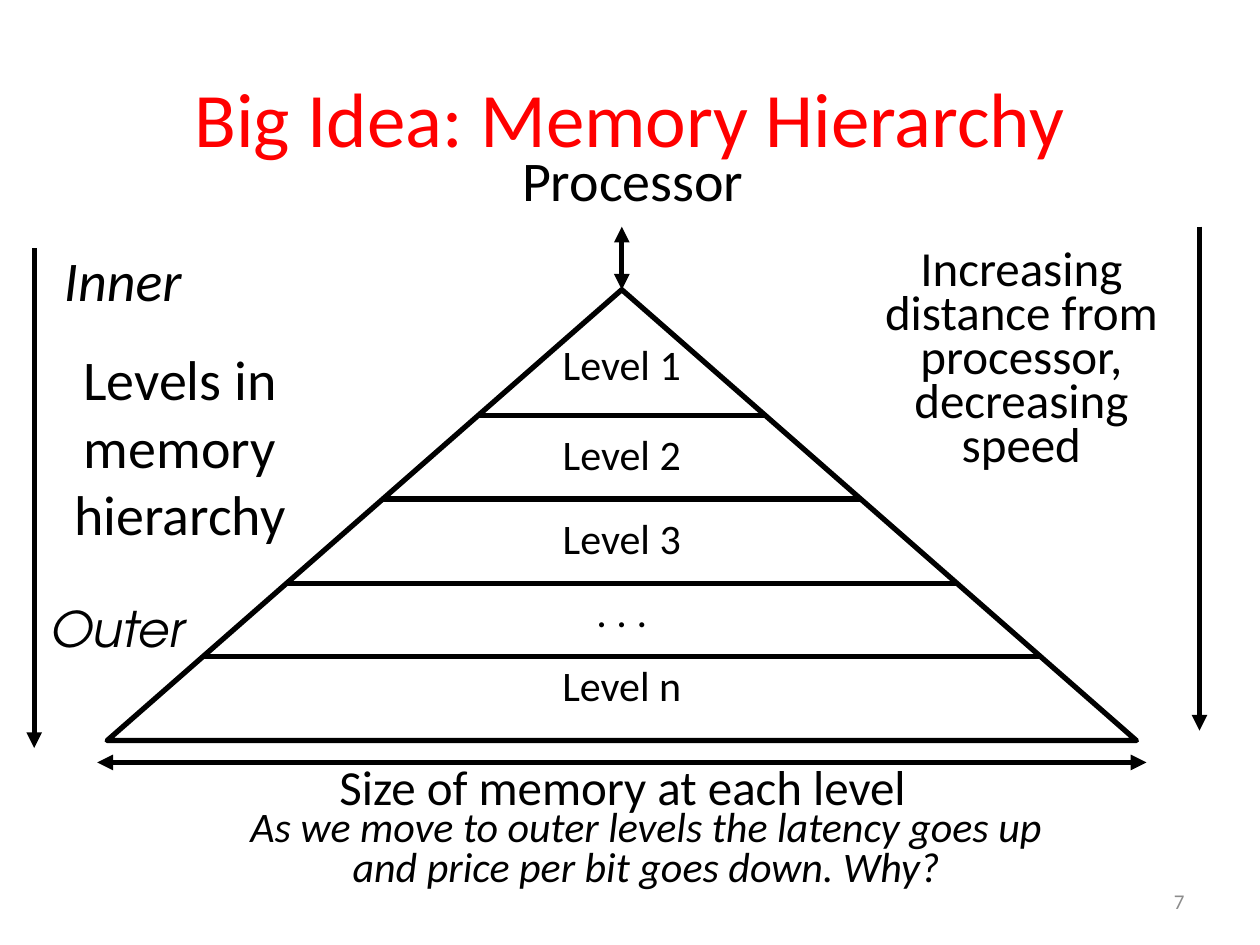
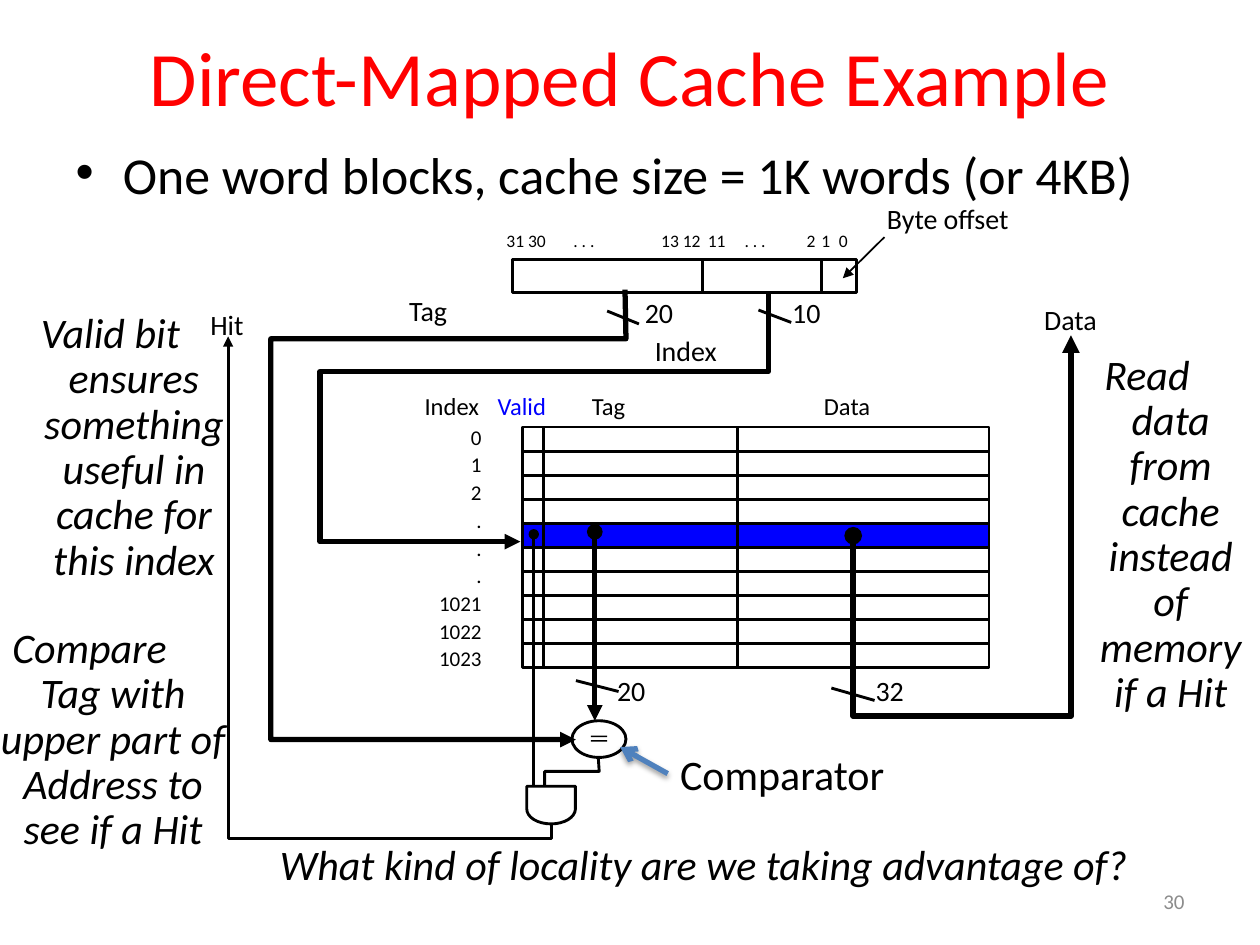
"""Build two lecture slides on memory hierarchy and direct-mapped caches."""
from dataclasses import dataclass
from math import cos, pi, sin

from lxml import etree
from pptx import Presentation, util as u
from pptx.dml.color import RGBColor
from pptx.enum import shapes, text as t
from pptx.oxml.ns import qn

CENTER, RIGHT = t.PP_ALIGN.CENTER, t.PP_ALIGN.RIGHT


@dataclass(frozen=True)
class Theme:
    """Colours, fonts, type sizes and line widths of the deck."""
    ink: str = "000000"
    title: str = "FF0000"
    highlight: str = "0000FF"
    pointer: str = "4F81BD"
    muted: str = "8C8C8C"
    font: str = "Calibri"
    geometric: str = "TeX Gyre Adventor"
    title_size: float = 44
    axis_size: float = 32
    list_size: float = 29.6
    caption_size: float = 28
    note_size: float = 24
    wire_size: float = 16
    header_size: float = 14
    small_size: float = 12
    bit_size: float = 10
    bold_line: float = 3
    thin_line: float = 1.63
    tight: float = 0.75


THEME = Theme()


@dataclass(frozen=True)
class Box:
    """A region in centimetres."""
    x: float
    y: float
    w: float
    h: float

    def inner(self, dx, dy, w, h):
        """Return a box offset from this one's corner."""
        return Box(self.x + dx, self.y + dy, w, h)

    def point(self, dx, dy):
        """Return a point offset from this box's corner."""
        return u.Cm(self.x + dx), u.Cm(self.y + dy)

    def frame(self):
        """Return left, top, width and height as lengths."""
        return [u.Cm(v) for v in (self.x, self.y, self.w, self.h)]


def write(shape, content, size, color=THEME.ink, font=THEME.font, italic=False, align=None,
          spacing=None, wrap=True, anchor=None, snug=False, hang=0, tabs=()):
    """Put formatted text in a shape."""
    frame = shape.text_frame
    frame.word_wrap = wrap
    frame.auto_size = t.MSO_AUTO_SIZE.NONE if wrap else t.MSO_AUTO_SIZE.SHAPE_TO_FIT_TEXT
    if anchor is not None:
        frame.vertical_anchor = anchor
    if snug:
        frame.margin_left = frame.margin_right = u.Cm(0.18)
        frame.margin_top = frame.margin_bottom = u.Cm(0.08)
    for index, line_text in enumerate(content.split("\n")):
        paragraph = frame.add_paragraph() if index else frame.paragraphs[0]
        paragraph.text = line_text
        paragraph.alignment = align
        paragraph.line_spacing = spacing
        properties = paragraph._p.get_or_add_pPr()
        if hang:
            properties.set("marL", str(u.Cm(hang)))
            properties.set("indent", str(-u.Cm(hang)))
        if tabs:
            stops = etree.SubElement(properties, qn("a:tabLst"))
            for stop in tabs:
                etree.SubElement(stops, qn("a:tab"), pos=str(u.Cm(stop)), algn="l")
        for run in paragraph.runs:
            run.font.size, run.font.name, run.font.italic = u.Pt(size), font, italic
            run.font.color.rgb = RGBColor.from_string(color)


def label(slide, box, content, size, **style):
    """Add a text box."""
    caption = slide.shapes.add_textbox(*box.frame())
    write(caption, content, size, **style)
    return caption


def tag(slide, box, content, size=THEME.wire_size, **style):
    """Add a short unwrapped label."""
    return label(slide, box, content, size, wrap=False, **style)


def stroke(shape, width, color=THEME.ink, head=None, tail=None):
    """Format an outline and its ends."""
    shape.line.width = u.Pt(width)
    shape.line.color.rgb = RGBColor.from_string(color)
    outline = shape.element.spPr.find(qn("a:ln"))
    for end, kind in (("a:headEnd", head), ("a:tailEnd", tail)):
        if kind:
            etree.SubElement(outline, qn(end), type=kind)


def line(slide, start, end, width=THEME.bold_line, shadow=False, **style):
    """Add a straight connector."""
    link = slide.shapes.add_connector(shapes.MSO_CONNECTOR.STRAIGHT, *start, *end)
    stroke(link, width, **style)
    effects = etree.SubElement(link.element.spPr, qn("a:effectLst"))
    if shadow:
        cast = etree.SubElement(effects, qn("a:outerShdw"), blurRad=str(u.Pt(3.1)),
                                dist=str(u.Pt(1.6)), dir="5400000", rotWithShape="0")
        tint = etree.SubElement(cast, qn("a:srgbClr"), val=THEME.ink)
        etree.SubElement(tint, qn("a:alpha"), val="38000")
    return link


def wire(slide, box, offsets, width=THEME.thin_line, close=False, **style):
    """Draw an unfilled outline through points of a box."""
    start, *rest = [box.point(*offset) for offset in offsets]
    builder = slide.shapes.build_freeform(*start, scale=1.0)
    builder.add_line_segments(rest, close=close)
    route = builder.convert_to_shape()
    route.shadow.inherit = False
    route.fill.background()
    stroke(route, width, **style)


def figure(slide, kind, box, fill=None, width=THEME.thin_line):
    """Add a preset shape, plain or filled."""
    shape = slide.shapes.add_shape(kind, *box.frame())
    shape.shadow.inherit = False
    if fill:
        shape.fill.solid()
        shape.fill.fore_color.rgb = RGBColor.from_string(fill)
    else:
        shape.fill.background()
    if width:
        stroke(shape, width)
    else:
        shape.line.fill.background()
    return shape


def fill_placeholder(placeholder, box, content, size, **style):
    """Move a placeholder and fill it."""
    placeholder.left, placeholder.top, placeholder.width, placeholder.height = box.frame()
    write(placeholder, content, size, **style)


def new_slide(deck, layout, title, box, number):
    """Add a slide with its title and page number."""
    slide = deck.slides.add_slide(deck.slide_layouts[layout])
    middle = t.MSO_ANCHOR.MIDDLE
    fill_placeholder(slide.shapes.title, box, title, THEME.title_size, color=THEME.title,
                     align=CENTER, anchor=middle)
    label(slide, Box(18.21, 17.65, 5.92, 1.02), number, THEME.small_size, color=THEME.muted,
          align=RIGHT, anchor=middle)
    return slide


def pyramid(slide, box):
    """Draw the memory levels and return the outer triangle."""
    outline = figure(slide, shapes.MSO_SHAPE.ISOSCELES_TRIANGLE, box, width=THEME.bold_line)
    middle = box.w / 2
    levels = (("Level 1", 1.14), ("Level 2", 2.95), ("Level 3", 4.65), (". . .", 6.12),
              ("Level n", 7.62))
    for name, top in levels:
        label(slide, box.inner(middle - 2.12, top, 4.24, 0.97), name, THEME.note_size,
              align=CENTER, spacing=THEME.tight, snug=True)
    for depth in (2.54, 4.22, 5.92, 7.39):
        reach = middle * depth / box.h
        line(slide, box.point(middle - reach, depth), box.point(middle + reach, depth))
    return outline


def processor_link(slide, box, levels):
    """Place the processor above the pyramid and link the two."""
    label(slide, box.inner(0, 0, box.w, 1.22), "Processor", THEME.axis_size, align=CENTER,
          spacing=THEME.tight, snug=True)
    apex = levels.left + levels.width // 2
    link = line(slide, (apex, levels.top), (apex, u.Cm(box.y + 1.39)), head="triangle",
                tail="triangle")
    link.begin_connect(levels, 0)


def size_axis(slide, box):
    """Draw the width axis under the pyramid."""
    label(slide, box.inner(1.7, 0.07, 17.78, 1.09), "Size of memory at each level",
          THEME.caption_size, align=CENTER, spacing=THEME.tight, snug=True)
    line(slide, box.point(0, 0), box.point(box.w, 0), head="triangle", tail="triangle")


def distance_axis(slide, box):
    """Draw the distance axis on the right."""
    label(slide, box.inner(0, 0.41, 6.78, 4.67),
          "Increasing distance from processor,\vdecreasing speed", THEME.caption_size,
          align=CENTER, spacing=THEME.tight, snug=True)
    line(slide, box.point(box.w, 0), box.point(box.w, box.h), tail="triangle")


def levels_axis(slide, box):
    """Draw the inner-to-outer axis on the left."""
    tag(slide, box.inner(0.35, -0.17, 3.18, 1.63), "Inner", THEME.axis_size, italic=True)
    tag(slide, box.inner(0.07, 6.94, 3.25, 1.45), "Outer", THEME.caption_size, italic=True,
        font=THEME.geometric)
    label(slide, box.inner(-0.03, 1.83, 5.94, 4.37), "Levels in memory hierarchy",
          THEME.axis_size, align=CENTER)
    line(slide, box.point(0, 0), box.point(0, box.h), tail="triangle")


def bus_width(slide, slash, number_box, bits):
    """Mark a wire with a slash and its number of bits."""
    line(slide, slash.point(0, 0), slash.point(slash.w, slash.h), THEME.thin_line)
    tag(slide, number_box, bits)


def address_word(slide, box):
    """Draw the address with its fields and bit numbers."""
    figure(slide, shapes.MSO_SHAPE.RECTANGLE, box)
    for edge in (3.82, 6.22):
        line(slide, box.point(edge, 0), box.point(edge, box.h), THEME.thin_line)
    label(slide, box.inner(-0.38, -0.71, 7.87, 0.69), "31 30\t. . .\t13 12\t11\t. . .\t2\t1\t0",
          THEME.bit_size, tabs=(1.35, 3.12, 4.06, 4.8, 6.05, 6.35, 6.7))
    label(slide, box.inner(7.29, -1.29, 3.18, 0.94), "Byte offset", THEME.wire_size)
    line(slide, box.point(7.49, -0.45), box.point(6.65, 0.38), 1, tail="triangle")


def tag_path(slide, box):
    """Route the address tag to the comparator."""
    wire(slide, box, ((7.14, 0), (7.16, 0.99), (0, 0.99), (0, box.h), (6.15, box.h)),
         THEME.bold_line, tail="triangle")
    bus_width(slide, box.inner(6.78, 0.43, 0.64, 0.26), box.inner(7.29, 0, 1.14, 0.94), "20")
    tag(slide, box.inner(2.54, -0.05, 1.47, 0.94), "Tag")


def index_path(slide, box):
    """Route the address index to the selected row."""
    wire(slide, box, ((box.w, 0), (box.w, 1.6), (0, 1.6), (0, box.h), (4.04, box.h)),
         THEME.bold_line, tail="triangle")
    bus_width(slide, box.inner(8.84, 0.36, 0.66, 0.25), box.inner(9.27, -0.05, 1.14, 0.94), "10")
    tag(slide, box.inner(6.5, 0.71, 1.88, 0.94), "Index")


def cache_grid(slide, box, rows=10, selected=4):
    """Draw the cache rows, columns and headings."""
    pitch = box.h / rows
    rectangle = shapes.MSO_SHAPE.RECTANGLE
    figure(slide, rectangle, box)
    figure(slide, rectangle, box.inner(0, selected * pitch, box.w, pitch), THEME.highlight)
    for row in range(1, rows):
        line(slide, box.point(0, row * pitch), box.point(box.w, row * pitch), THEME.thin_line)
    for column in (0.42, 4.32):
        line(slide, box.point(column, 0), box.point(column, box.h), THEME.thin_line)
    headings = (("Index", -2.23, 1.7, THEME.ink), ("Valid", -0.76, 1.5, THEME.highlight),
                ("Tag", 1.14, 1.35, THEME.ink), ("Data", 5.82, 1.55, THEME.ink))
    for name, left, width, color in headings:
        tag(slide, box.inner(left, -0.86, width, 0.84), name, THEME.header_size, color=color)
    tag(slide, box.inner(-2.03, -0.23, 1.45, 5.31), "0\n1\n2\n.\n.\n.\n1021\n1022\n1023",
        THEME.small_size, align=RIGHT, spacing=1.1)


def stored_tag_path(slide, box):
    """Route the stored tag down to the comparator."""
    line(slide, box.point(0, 0), box.point(0, box.h), head="oval", tail="triangle")
    bus_width(slide, box.inner(-0.38, 3, 0.86, 0.22), box.inner(0.2, 2.74, 1.14, 0.94), "20")


def data_path(slide, box):
    """Route the stored word to the data output."""
    wire(slide, box, ((0, 4.04), (0, box.h), (box.w, box.h), (box.w, 0)), 3.38, head="oval",
         tail="triangle")
    bus_width(slide, box.inner(-0.44, 7.11, 0.87, 0.25), box.inner(0.2, 6.7, 1.14, 0.94), "32")
    tag(slide, box.inner(3.6, -0.79, 1.7, 0.94), "Data")


def comparator(slide, box):
    """Draw the comparator and its callout."""
    figure(slide, shapes.MSO_SHAPE.OVAL, box)
    for bar in (0.3, 0.39):
        figure(slide, shapes.MSO_SHAPE.RECTANGLE, box.inner(0.38, bar, 0.33, 0.03), THEME.ink, 0)
    name_box = box.inner(1.93, 0.43, 4.67, 1.27)
    name = tag(slide, name_box, "Comparator", THEME.note_size)
    pointer = line(slide, name_box.point(0, name_box.h / 2), box.point(0.97, 0.53),
                   color=THEME.pointer, tail="arrow", shadow=True)
    pointer.begin_connect(name, 1)


def hit_logic(slide, box):
    """Draw the AND gate, its inputs and the hit output."""
    radius, shoulder = box.w / 2, 0.46
    bowl = [(radius + radius * cos(pi * step / 16),
             shoulder + (box.h - shoulder) * sin(pi * step / 16)) for step in range(17)]
    wire(slide, box, [(0, 0), (box.w, 0), *bowl], close=True)
    line(slide, box.point(0.14, -5.08), box.point(0.14, 0), THEME.thin_line, head="oval")
    wire(slide, box, ((1.44, -0.6), (1.46, -0.3), (0.36, -0.3), (0.36, 0)))
    wire(slide, box, ((radius, box.h), (radius, 1.06), (-6.02, 1.06), (-6.02, -9.07)),
         tail="triangle")
    tag(slide, box.inner(-6.63, -9.78, 1.2, 0.94), "Hit")


def hierarchy_slide(deck):
    """Build the memory hierarchy slide."""
    slide = new_slide(deck, 5, "Big Idea: Memory Hierarchy", Box(1.27, 0.76, 22.86, 3.18), "7")
    levels = pyramid(slide, Box(2.16, 5.84, 20.75, 9.09))
    processor_link(slide, Box(1.75, 3.18, 22.02, 2.66), levels)
    size_axis(slide, Box(1.96, 15.37, 21.15, 1.16))
    distance_axis(slide, Box(17.2, 4.57, 6.98, 10.16))
    levels_axis(slide, Box(0.69, 5, 5.94, 10.08))
    label(slide, Box(3.18, 16.21, 19.69, 1.93),
          "As we move to outer levels the latency goes up\vand price per bit goes down. Why?",
          THEME.note_size, italic=True, align=CENTER, spacing=0.8)


def cache_slide(deck):
    """Build the direct-mapped cache slide."""
    slide = new_slide(deck, 1, "Direct-Mapped Cache Example", Box(1.27, 0.43, 22.86, 2.21), "30")
    fill_placeholder(slide.placeholders[1], Box(1.27, 3.2, 22.43, 1.88),
                     "One word blocks, cache size = 1K words (or 4KB)", THEME.list_size,
                     spacing=0.6)
    cache_grid(slide, Box(10.54, 8.61, 9.4, 4.85))
    address_word(slide, Box(10.34, 5.23, 6.93, 0.66))
    tag_path(slide, Box(5.46, 5.84, 7.16, 9.07))
    index_path(slide, Box(6.45, 5.89, 9.04, 5.03))
    stored_tag_path(slide, Box(11.99, 10.72, 1.34, 3.81))
    data_path(slide, Box(17.2, 6.76, 4.39, 7.67))
    comparator(slide, Box(11.53, 14.53, 1.09, 0.74))
    hit_logic(slide, Box(10.62, 15.85, 0.98, 0.76))
    remarks = (
        (Box(2.97, 16.89, 22.43, 1.27), "What kind of locality are we taking advantage of?"),
        (Box(-0.53, 6.17, 5.51, 1.27),
         "Valid bit ensures something useful in cache for this index"),
        (Box(-1.27, 12.52, 6.15, 5.69),
         "Compare\vTag with upper part of Address to see if a Hit"),
        (Box(20.85, 7.01, 4.55, 1.27), "Read\vdata from cache instead of memory if a Hit"))
    for box, remark in remarks:
        label(slide, box, remark, THEME.note_size, italic=True, align=CENTER, spacing=0.9,
              hang=0.95)


def main():
    """Build and save the deck."""
    deck = Presentation()
    deck.slide_width, deck.slide_height = u.Cm(25.4), u.Cm(19.05)
    hierarchy_slide(deck)
    cache_slide(deck)
    deck.save("out.pptx")


if __name__ == "__main__":
    main()
